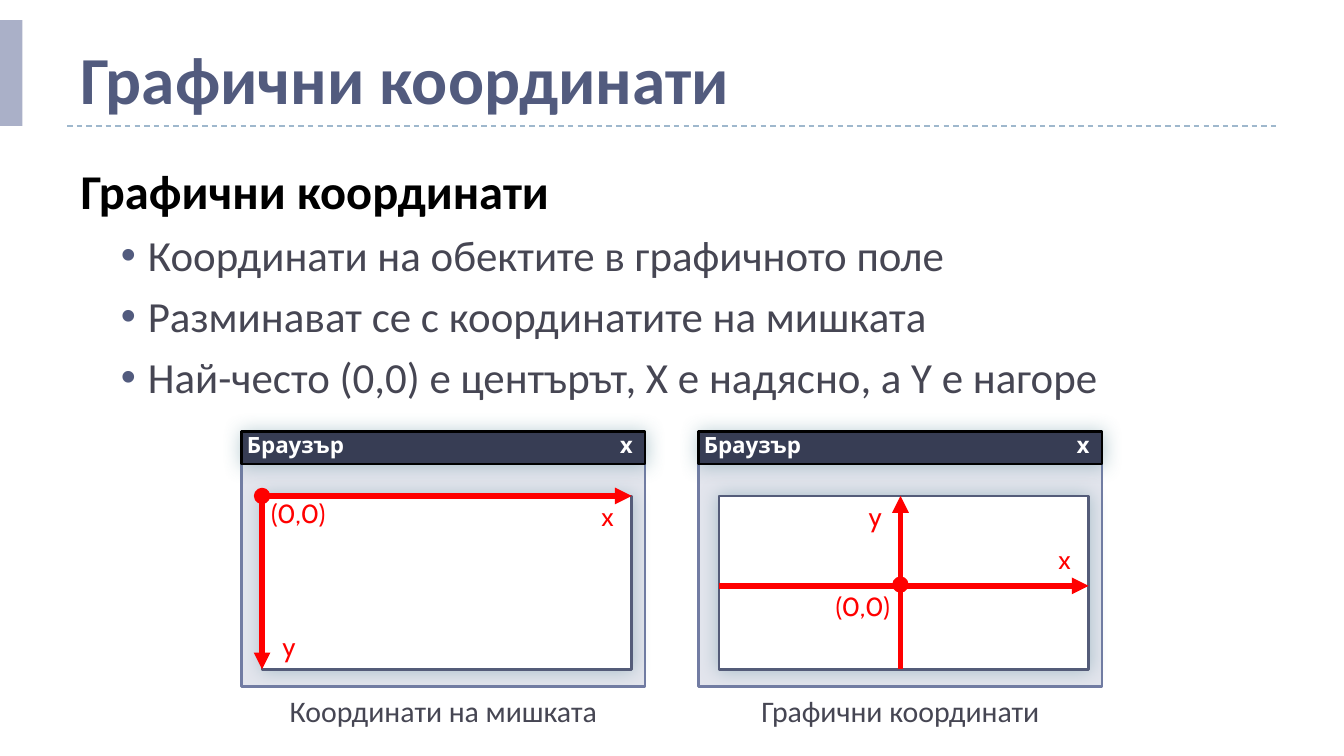
from lxml.etree import SubElement
from pptx import Presentation
from pptx.dml.color import RGBColor
from pptx.enum.dml import MSO_LINE
from pptx.enum.shapes import MSO_CONNECTOR, MSO_SHAPE
from pptx.enum.text import MSO_ANCHOR, MSO_AUTO_SIZE, PP_ALIGN
from pptx.oxml.ns import qn
from pptx.util import Pt

WHITE = RGBColor(0xFF, 0xFF, 0xFF)
BLACK = RGBColor(0, 0, 0)
RED = RGBColor(0xFF, 0, 0)
TITLE_BLUE = RGBColor(0x52, 0x5B, 0x7E)
TEXT_GRAY = RGBColor(0x46, 0x46, 0x53)
ACCENT = RGBColor(0xAA, 0xB0, 0xC8)
RULE = RGBColor(0x9F, 0xB8, 0xCD)
WINDOW_FILL = RGBColor(0xE3, 0xE5, 0xED)
WINDOW_LINE = RGBColor(0x72, 0x7C, 0xA3)
FIELD_LINE = RGBColor(0x54, 0x5C, 0x79)
BAR_FILL = RGBColor(0x37, 0x3D, 0x54)
SHADOW = RGBColor(0x52, 0x86, 0x93)

TITLE = "Графични координати"
HEADING = "Графични координати"
BULLETS = [
    "Координати на обектите в графичното поле",
    "Разминават се с координатите на мишката",
    "Най-често (0,0) е центърът, X е надясно, а Y е нагоре",
]
BAR_TEXT = (" Браузър \t", "x")

WINDOW_TOP, WINDOW_WIDTH, WINDOW_HEIGHT = 248.4, 216, 119.2
BAR_TOP, BAR_HEIGHT = 231, 17.7
FIELD_INSET, FIELD_TOP, FIELD_WIDTH, FIELD_HEIGHT = 10.8, 265.7, 198, 92.9
LABEL_HEIGHT, DOT = 21.6, 7.2

# Axes, labels and origins are measured from the top left corner of the field.
WINDOWS = [
    {
        "left": 129.6,
        "caption": "Координати на мишката",
        "axes": [(0, 0, FIELD_WIDTH, 0), (0, 0, 0, FIELD_HEIGHT)],
        "labels": [("x", 172.1, 0, 26), ("y", 1.4, 69.8, 26), ("(0,0)", -7.9, -1.4, 54.7)],
        "origin": (0, 0),
    },
    {
        "left": 374.4,
        "caption": "Графични координати",
        "axes": [(0, 48.2, FIELD_WIDTH, 48.2), (97.2, FIELD_HEIGHT, 97.2, 0)],
        "labels": [("x", 172.1, 23, 26), ("y", 70.6, 0, 26), ("(0,0)", 49.7, 48.2, 54.7)],
        "origin": (97.2, 47.5),
    },
]


def format_run(run, size, color, font="Calibri", bold=False):
    run.font.size = Pt(size)
    run.font.name = font
    run.font.bold = bold
    run.font.color.rgb = color


def place(shape, left, top, width, height):
    shape.left, shape.top = Pt(left), Pt(top)
    shape.width, shape.height = Pt(width), Pt(height)


def add_block(slide, kind, left, top, width, height, fill, line=None, glow=False):
    shape = slide.shapes.add_shape(kind, Pt(left), Pt(top), Pt(width), Pt(height))
    shape.shadow.inherit = False
    shape.fill.solid()
    shape.fill.fore_color.rgb = fill
    if line is None:
        shape.line.fill.background()
    else:
        shape.line.color.rgb = line
        shape.line.width = Pt(1.5)
    if glow:
        effects = shape._element.spPr.find(qn("a:effectLst"))
        outer = SubElement(effects, qn("a:outerShdw"), blurRad=str(Pt(10)), dist="0",
                           dir="2700000", algn="ctr", rotWithShape="0")
        color = SubElement(outer, qn("a:srgbClr"), val=str(SHADOW))
        SubElement(color, qn("a:alpha"), val="40000")
    return shape


def add_line(slide, x1, y1, x2, y2, color, width):
    line = slide.shapes.add_connector(MSO_CONNECTOR.STRAIGHT, Pt(x1), Pt(y1), Pt(x2), Pt(y2))
    line.line.color.rgb = color
    line.line.width = Pt(width)
    SubElement(line._element.spPr, qn("a:effectLst"))
    return line


def add_label(slide, text, left, top, width, height, size, color, font, anchor):
    frame = slide.shapes.add_textbox(Pt(left), Pt(top), Pt(width), Pt(height)).text_frame
    frame.word_wrap = True
    frame.vertical_anchor = anchor
    frame.text = text
    frame.paragraphs[0].alignment = PP_ALIGN.CENTER
    format_run(frame.paragraphs[0].runs[0], size, color, font)


def add_title_bar(slide, left):
    bar = add_block(slide, MSO_SHAPE.RECTANGLE, left, BAR_TOP, WINDOW_WIDTH, BAR_HEIGHT,
                    BAR_FILL, BLACK, glow=True)
    frame = bar.text_frame
    frame.margin_left = frame.margin_right = frame.margin_top = frame.margin_bottom = 0
    frame.vertical_anchor = MSO_ANCHOR.TOP
    paragraph = frame.paragraphs[0]
    paragraph.alignment = PP_ALIGN.LEFT
    for text, font in zip(BAR_TEXT, ("Cabin", "Noto Sans Mono")):
        run = paragraph.add_run()
        run.text = text
        format_run(run, 12, WHITE, font, bold=True)
    tabs = SubElement(paragraph._p.get_or_add_pPr(), qn("a:tabLst"))
    SubElement(tabs, qn("a:tab"), pos=str(Pt(202.3)), algn="l")


def add_window(slide, window):
    left = window["left"]
    field_left = left + FIELD_INSET
    add_block(slide, MSO_SHAPE.RECTANGLE, left, WINDOW_TOP, WINDOW_WIDTH, WINDOW_HEIGHT,
              WINDOW_FILL, WINDOW_LINE)
    add_block(slide, MSO_SHAPE.RECTANGLE, field_left, FIELD_TOP, FIELD_WIDTH, FIELD_HEIGHT,
              WHITE, FIELD_LINE, glow=True)
    add_title_bar(slide, left)
    for x1, y1, x2, y2 in window["axes"]:
        axis = add_line(slide, field_left + x1, FIELD_TOP + y1,
                        field_left + x2, FIELD_TOP + y2, RED, 3)
        SubElement(axis.line._get_or_add_ln(), qn("a:tailEnd"), type="triangle")
    for text, x, y, width in window["labels"]:
        add_label(slide, text, field_left + x, FIELD_TOP + y, width, LABEL_HEIGHT,
                  14, RED, "Cabin", MSO_ANCHOR.MIDDLE)
    x, y = window["origin"]
    add_block(slide, MSO_SHAPE.OVAL, field_left + x - DOT / 2, FIELD_TOP + y - DOT / 2,
              DOT, DOT, RED, RED)
    add_label(slide, window["caption"], left - 0.5, 367.5, WINDOW_WIDTH + 1, 26.6,
              16, TEXT_GRAY, "Calibri", MSO_ANCHOR.TOP)


def fill_title(title):
    place(title, 36, 8.6, 671.8, 58.3)
    frame = title.text_frame
    frame.text = TITLE
    frame.auto_size = MSO_AUTO_SIZE.NONE
    frame.vertical_anchor = MSO_ANCHOR.BOTTOM
    frame.paragraphs[0].alignment = PP_ALIGN.LEFT
    format_run(frame.paragraphs[0].runs[0], 36, TITLE_BLUE, bold=True)


def fill_body(body):
    place(body, 36, 82.8, 671.8, 318.2)
    frame = body.text_frame
    frame.text = "\n".join([HEADING] + BULLETS)
    frame.auto_size = MSO_AUTO_SIZE.NONE
    heading, *items = frame.paragraphs
    heading.space_before = Pt(6)
    format_run(heading.runs[0], 26, BLACK, bold=True)
    properties = heading._p.get_or_add_pPr()
    properties.set("marL", "0")
    properties.set("indent", "0")
    SubElement(properties, qn("a:buNone"))
    for item in items:
        item.level = 1
        item.space_before = Pt(5)
        format_run(item.runs[0], 23, TEXT_GRAY)
        properties = item._p.get_or_add_pPr()
        properties.set("marL", str(Pt(36)))
        properties.set("indent", str(-Pt(14.4)))
        color = SubElement(properties, qn("a:buClr"))
        SubElement(color, qn("a:srgbClr"), val=str(TITLE_BLUE))
        SubElement(properties, qn("a:buFont"), typeface="Arial")
        SubElement(properties, qn("a:buChar"), char="•")


def main():
    presentation = Presentation()
    presentation.slide_width, presentation.slide_height = Pt(720), Pt(405)
    slide = presentation.slides.add_slide(presentation.slide_layouts[1])
    rule = add_line(slide, 36, 67.5, 684, 67.5, RULE, 0.75)
    rule.line.dash_style = MSO_LINE.DASH
    add_block(slide, MSO_SHAPE.RECTANGLE, 0, 10.8, 12, 56.7, ACCENT)
    fill_title(slide.shapes.title)
    fill_body(slide.placeholders[1])
    for window in WINDOWS:
        add_window(slide, window)
    presentation.save("out.pptx")


if __name__ == "__main__":
    main()
